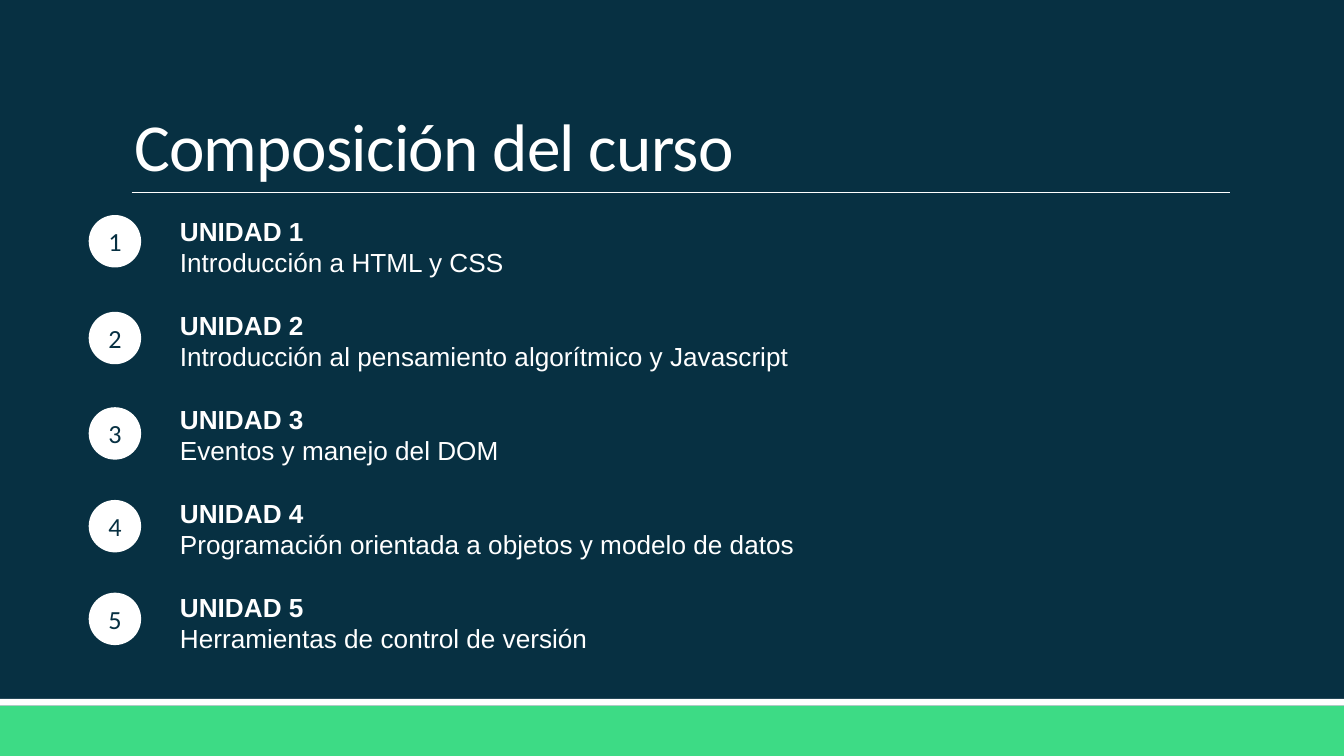
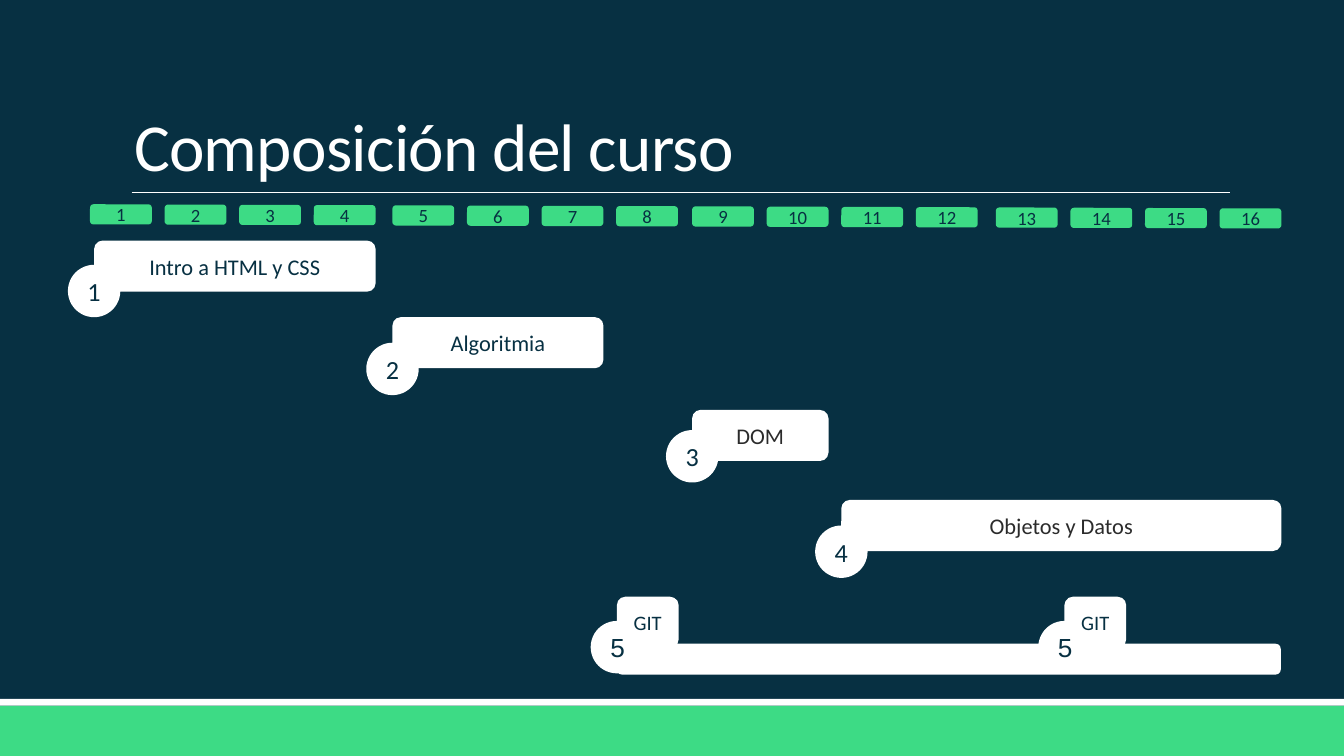
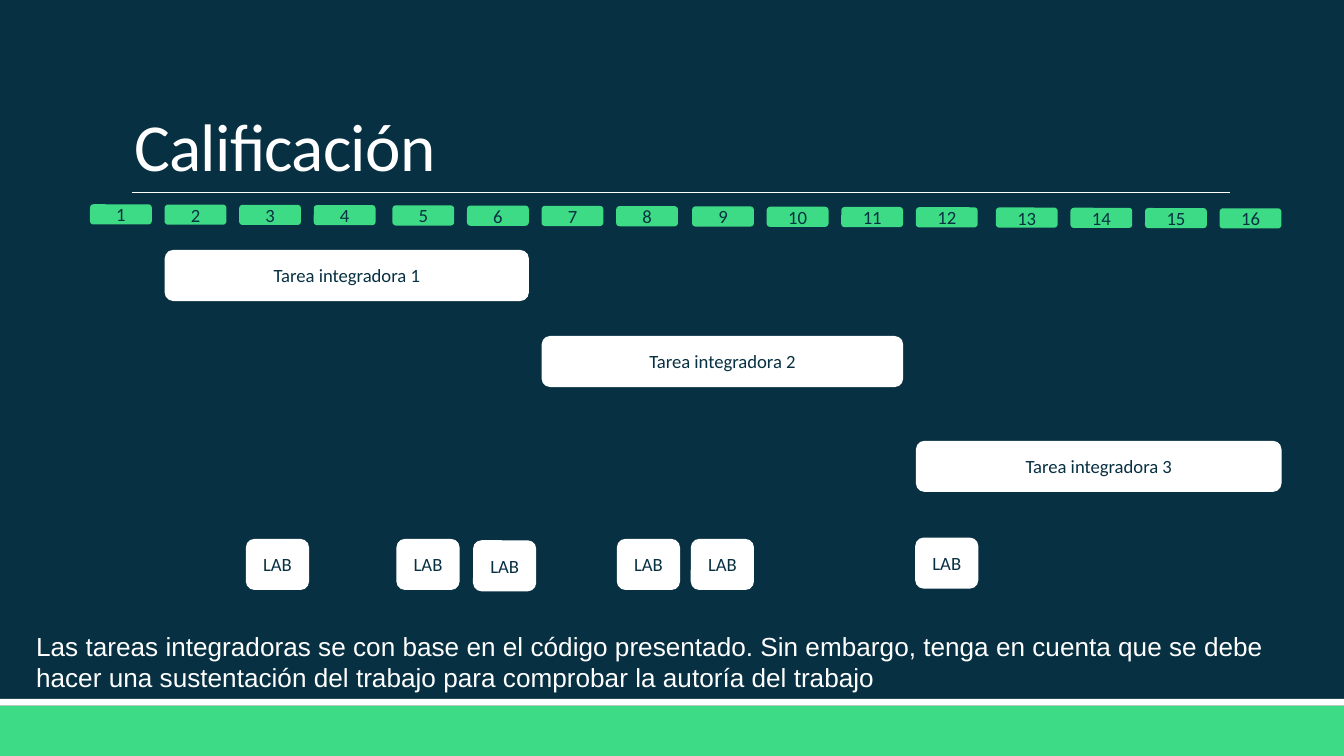
from pptx import Presentation
from pptx.dml.color import RGBColor
from pptx.enum.shapes import MSO_CONNECTOR, MSO_SHAPE
from pptx.enum.text import MSO_ANCHOR, PP_ALIGN
from pptx.oxml.ns import qn
from pptx.util import Inches, Pt

NAVY = RGBColor(0x07, 0x30, 0x42)
GREEN = RGBColor(0x3D, 0xDB, 0x85)
WHITE = RGBColor(0xFF, 0xFF, 0xFF)
GRAY = RGBColor(0x2B, 0x2B, 0x2B)
HEADING, BODY = "Calibri", "Arial"

# Calendar: four months of four weeks
MONTH_LEFTS = (0.67, 2.92, 5.15, 7.41)
WEEK_STEP, WEEK_WIDTH, WEEK_HEIGHT = 0.555, 0.46, 0.15
CALENDAR_TOP = 1.52
BAR_HEIGHT = 0.38
BADGE_SIZE = 0.39

UNITS = (
    "Introducción a HTML y CSS",
    "Introducción al pensamiento algorítmico y Javascript",
    "Eventos y manejo del DOM",
    "Programación orientada a objetos y modelo de datos",
    "Herramientas de control de versión",
)
UNIT_BADGE_TOPS = (1.6, 2.32, 3.03, 3.72, 4.41)
# Label, first week, last week, top, drop of the badge, text colour
UNIT_BARS = (
    ("Intro a HTML y CSS", 1, 4, 1.79, 0.18, NAVY),
    ("Algoritmia", 5, 7, 2.36, 0.19, NAVY),
    ("DOM", 9, 10, 3.05, 0.15, GRAY),
    ("Objetos y Datos", 11, 16, 3.72, 0.19, GRAY),
)
GIT_LEFTS = (4.59, 7.92)
# First week, last week, top
TASKS = ((2, 6, 1.86), (7, 11, 2.5), (12, 16, 3.28))
LABS = ((1.83, 4.01), (2.95, 4.01), (3.52, 4.02),
        (4.59, 4.01), (5.14, 4.01), (6.81, 4))
NOTICE = (
    "Las tareas integradoras se con base en el código presentado. "
    "Sin embargo, tenga en cuenta que se debe hacer una sustentación "
    "del trabajo para comprobar la autoría del trabajo"
)


def add_run(p, text, size, color, name=HEADING, bold=False):
    r = p.add_run()
    r.text = text
    style = {"size": Pt(size), "name": name, "bold": bold}
    for key, value in style.items():
        setattr(r.font, key, value)
    r.font.color.rgb = color
    return r


def add_box(s, kind, box, fill, text="", size=10, color=NAVY):
    sp = s.shapes.add_shape(kind, *map(Inches, box))
    sp.shadow.inherit = False
    sp.fill.solid()
    sp.fill.fore_color.rgb = fill
    sp.line.fill.background()
    if text:
        tf = sp.text_frame
        style = {"margin_left": 0, "margin_right": 0, "margin_top": 0,
                 "margin_bottom": 0, "vertical_anchor": MSO_ANCHOR.MIDDLE}
        for key, value in style.items():
            setattr(tf, key, value)
        tf.paragraphs[0].alignment = PP_ALIGN.CENTER
        add_run(tf.paragraphs[0], text, size, color)
    return sp


def add_bar(s, box, text="", size=10, color=NAVY, fill=WHITE):
    return add_box(s, MSO_SHAPE.ROUNDED_RECTANGLE, box, fill, text, size, color)


def add_badge(s, left, top, text=""):
    box = (left, top, BADGE_SIZE, BADGE_SIZE)
    return add_box(s, MSO_SHAPE.OVAL, box, WHITE, text, 14)


def add_text_frame(s, box):
    tf = s.shapes.add_textbox(*map(Inches, box)).text_frame
    tf.word_wrap = True
    return tf


def add_frame(prs, title):
    """Slide with the footer bands, the title and its rule."""
    s = prs.slides.add_slide(prs.slide_layouts[6])
    add_box(s, MSO_SHAPE.RECTANGLE, (0, 5.25, 10, 0.38), GREEN)
    add_box(s, MSO_SHAPE.RECTANGLE, (0, 5.2, 10, 0.05), WHITE)

    rule = s.shapes.add_connector(
        MSO_CONNECTOR.STRAIGHT, *map(Inches, (0.98, 1.43, 9.15, 1.43)))
    rule.line.color.rgb = WHITE
    rule.line.width = Pt(0.5)
    sp_pr = rule.element.spPr
    sp_pr.append(sp_pr.makeelement(qn("a:effectLst"), {}))

    tf = add_text_frame(s, (0.9, 0.24, 8.25, 1.19))
    tf.vertical_anchor = MSO_ANCHOR.BOTTOM
    p = tf.paragraphs[0]
    p.line_spacing = 0.85
    r = add_run(p, title, 36, WHITE)
    r.font.element.set("spc", "-40") if hasattr(r.font, "element") else \
        r._r.get_or_add_rPr().set("spc", "-40")
    return s


def week_left(week):
    month, i = divmod(week - 1, 4)
    return MONTH_LEFTS[month] + WEEK_STEP * i


def week_span(first, last, top):
    left = week_left(first)
    return left, top, week_left(last) + WEEK_WIDTH - left, BAR_HEIGHT


def add_calendar(s, top):
    for week in range(1, 17):
        # The row drops slightly towards the right
        box = (week_left(week), top + 0.002 * (week - 1),
               WEEK_WIDTH, WEEK_HEIGHT)
        add_bar(s, box, str(week), fill=GREEN)


def add_git(s, left, top):
    add_badge(s, left - BADGE_SIZE / 2, top + 0.18)
    add_bar(s, (left, top, WEEK_WIDTH, BAR_HEIGHT), "GIT", 11)
    p = add_text_frame(s, (left - 0.15, top + 0.21, 0.31, 0.34)).paragraphs[0]
    p.alignment = PP_ALIGN.CENTER
    add_run(p, "5", 14, NAVY, BODY)


def build_units(prs):
    s = add_frame(prs, "Composición del curso")
    tf = add_text_frame(s, (1.24, 1.55, 5.58, 3.4))
    for i, (unit, top) in enumerate(zip(UNITS, UNIT_BADGE_TOPS), 1):
        p = tf.paragraphs[0] if i == 1 else tf.add_paragraph()
        if i > 1:
            p.space_before = Pt(16.8)
        add_run(p, f"UNIDAD {i}", 14, WHITE, BODY, True)
        add_run(tf.add_paragraph(), unit, 14, WHITE, BODY)
        add_badge(s, 0.66, top, str(i))


def build_schedule(prs):
    s = add_frame(prs, "Composición del curso")
    add_bar(s, (4.59, 4.79, 4.94, 0.23))
    add_calendar(s, CALENDAR_TOP)
    for i, (label, first, last, top, drop, color) in enumerate(UNIT_BARS, 1):
        box = week_span(first, last, top)
        if first == 1:  # the first bar starts a little inside its week
            box = (box[0] + 0.03, top, box[2] - 0.03, BAR_HEIGHT)
        add_bar(s, box, label, 12, color)
        add_badge(s, box[0] - BADGE_SIZE / 2, top + drop, str(i))
    for left in GIT_LEFTS:
        add_git(s, left, 4.44)


def build_grading(prs):
    s = add_frame(prs, "Calificación")
    add_calendar(s, CALENDAR_TOP)
    for i, span in enumerate(TASKS, 1):
        add_bar(s, week_span(*span), f"Tarea integradora {i}")
    for left, top in LABS:
        add_bar(s, (left, top, 0.47, BAR_HEIGHT), "LAB")
    tf = add_text_frame(s, (0.17, 4.64, 9.55, 0.57))
    add_run(tf.paragraphs[0], NOTICE, 14, WHITE, BODY)


def main():
    prs = Presentation()
    prs.slide_width, prs.slide_height = Inches(10), Inches(5.625)
    background = prs.slide_master.background.fill
    background.solid()
    background.fore_color.rgb = NAVY
    for build in (build_units, build_schedule, build_grading):
        build(prs)
    prs.save("out.pptx")


if __name__ == "__main__":
    main()
